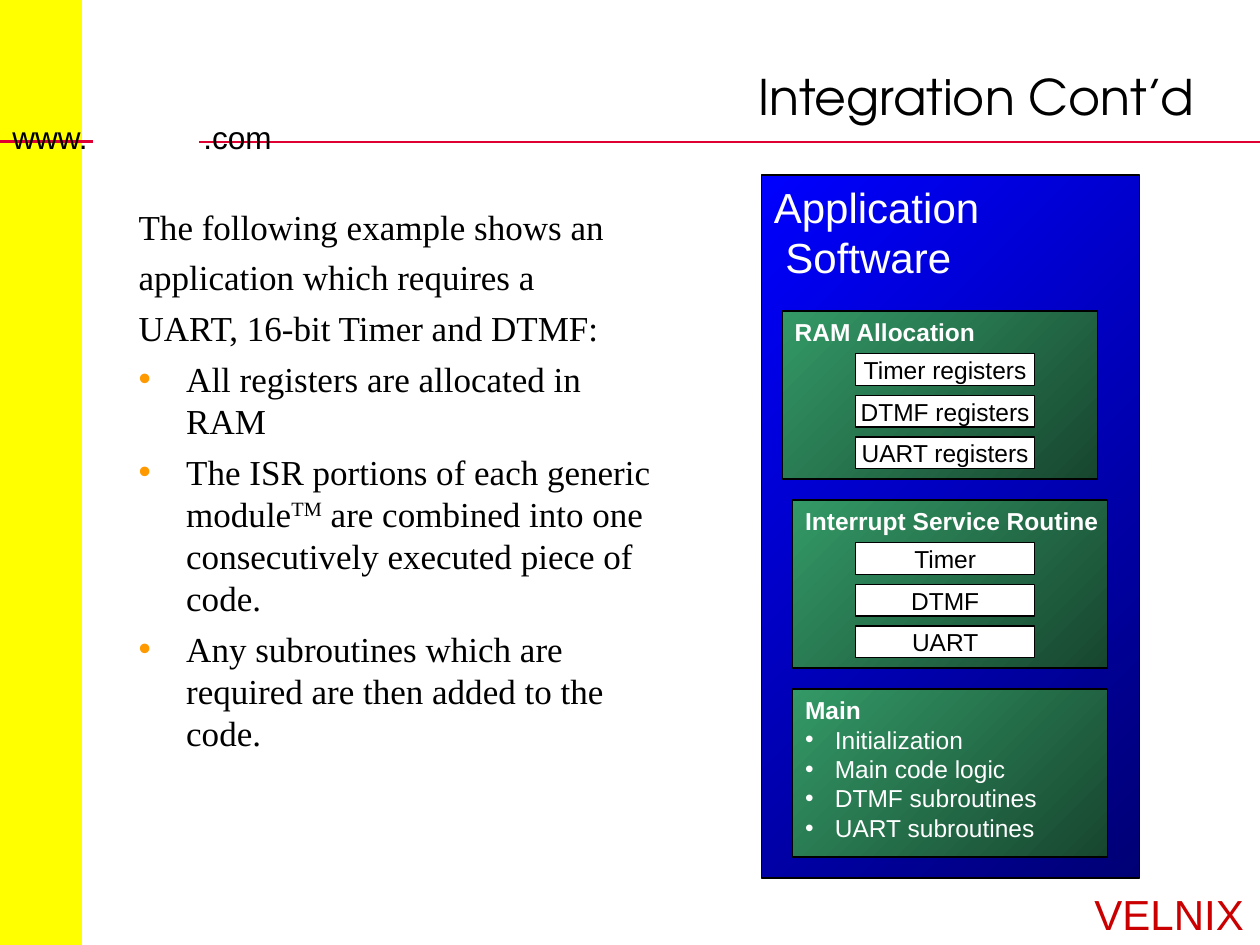
from lxml import etree
from pptx import Presentation
from pptx.dml.color import RGBColor
from pptx.enum.shapes import MSO_CONNECTOR, MSO_SHAPE
from pptx.enum.text import MSO_ANCHOR, MSO_AUTO_SIZE, PP_ALIGN
from pptx.oxml.ns import qn
from pptx.util import Cm, Pt

RECTANGLE, STRAIGHT = MSO_SHAPE.RECTANGLE, MSO_CONNECTOR.STRAIGHT
TOP, MIDDLE = MSO_ANCHOR.TOP, MSO_ANCHOR.MIDDLE
LEFT, CENTER, RIGHT = PP_ALIGN.LEFT, PP_ALIGN.CENTER, PP_ALIGN.RIGHT
NO_FIT = MSO_AUTO_SIZE.NONE

COLORS = {
    "black": "000000", "white": "FFFFFF", "yellow": "FFFF00",
    "rule": "DF0031", "brand": "CA0000", "bullet": "FF9900",
    "navy": "000075", "blue": "0000FF", "pine": "17462F", "green": "339966",
}


def rgb(name):
    return RGBColor.from_string(COLORS[name])


class SlideBuilder:
    sans, serif, display = "Arial", "Times New Roman", "TeX Gyre Adventor"
    outline = Pt(0.74)

    def __init__(self, slide):
        self.slide = slide

    def set_frame(self, shape, wrap, anchor):
        frame = shape.text_frame
        frame.auto_size = NO_FIT
        frame.word_wrap = wrap
        frame.vertical_anchor = anchor
        return frame

    def paragraph(self, frame, runs, size, color, font=None, align=LEFT,
                  bold=False, before=0, spacing=1, indent=0, bullet=None):
        """Fill the first empty paragraph or append one; runs are (text, baseline)."""
        paragraph = frame.paragraphs[-1]
        if paragraph.runs:
            paragraph = frame.add_paragraph()
        paragraph.alignment = align
        paragraph.space_before = Pt(before)
        paragraph.line_spacing = spacing
        properties = paragraph._p.get_or_add_pPr()
        properties.set("marL", str(Cm(indent)))
        properties.set("indent", str(-Cm(indent)))
        if bullet:
            bullet_color = etree.SubElement(properties, qn("a:buClr"))
            etree.SubElement(bullet_color, qn("a:srgbClr"), val=COLORS[bullet])
            etree.SubElement(properties, qn("a:buFont"), typeface=self.sans)
            etree.SubElement(properties, qn("a:buChar"), char="•")
        else:
            etree.SubElement(properties, qn("a:buNone"))
        for text, baseline in runs:
            run = paragraph.add_run()
            run.text = text
            run.font.name = font or self.sans
            run.font.size = Pt(size)
            run.font.bold = bold
            run.font.color.rgb = rgb(color)
            if baseline:
                run._r.get_or_add_rPr().set("baseline", str(baseline * 1000))

    def box(self, left, top, width, height, fill, outlined=True, anchor=TOP):
        """A rectangle; a pair of colours gives a diagonal gradient."""
        shape = self.slide.shapes.add_shape(
            RECTANGLE, Cm(left), Cm(top), Cm(width), Cm(height))
        shape.shadow.inherit = False
        if isinstance(fill, tuple):
            shape.fill.gradient()
            shape.fill.gradient_angle = 135
            for stop, name in zip(shape.fill.gradient_stops, fill):
                stop.color.rgb = rgb(name)
        else:
            shape.fill.solid()
            shape.fill.fore_color.rgb = rgb(fill)
        if outlined:
            shape.line.color.rgb = rgb("black")
            shape.line.width = self.outline
        else:
            shape.line.fill.background()
        return self.set_frame(shape, False, anchor)

    def label(self, left, top, width, height, text, size, color, align=LEFT):
        shape = self.slide.shapes.add_textbox(
            Cm(left), Cm(top), Cm(width), Cm(height))
        frame = self.set_frame(shape, False, TOP)
        self.paragraph(frame, [(text, 0)], size, color, align=align)

    def rule(self, start, end, y):
        line = self.slide.shapes.add_connector(
            STRAIGHT, Cm(start), Cm(y), Cm(end), Cm(y))
        line.line.color.rgb = rgb("rule")
        line.line.width = Pt(1.5)
        etree.SubElement(line._element.spPr, qn("a:effectLst"))

    def placeholder(self, index, left, top, width, height, anchor):
        shape = self.slide.placeholders[index]
        shape.left, shape.top = Cm(left), Cm(top)
        shape.width, shape.height = Cm(width), Cm(height)
        return self.set_frame(shape, True, anchor)


presentation = Presentation()
presentation.slide_width, presentation.slide_height = Cm(25.4), Cm(19.05)
slide = presentation.slides.add_slide(presentation.slide_layouts[1])
builder = SlideBuilder(slide)

# Side stripe, header rule and labels
builder.box(0, 0, 1.65, 19.05, "yellow", outlined=False)
builder.label(21.74, 17.78, 3.66, 1.27, "VELNIX", 24, "brand", CENTER)
builder.rule(4.02, 25.4, 2.86)
builder.rule(0, 1.88, 2.85)
builder.label(3.85, 2.26, 1.88, 1.02, ".com", 18, "black")
builder.label(0, 2.26, 2.06, 1.02, "www.", 18, "black")

# Title
title = builder.placeholder(0, 1.7, 0.84, 22.63, 2.34, MIDDLE)
builder.paragraph(title, [("Integration Cont’d", 0)], 28, "black",
                  builder.display, RIGHT, spacing=0.9)

# Introduction and bullet list
body = builder.placeholder(1, 2.54, 4.01, 11.15, 13.23, TOP)
BODY_TEXT = [
    (None, [("The following example shows an", 0)]),
    (None, [("application which requires a", 0)]),
    (None, [("UART, 16-bit Timer and DTMF:", 0)]),
    ("bullet", [("All registers are allocated in RAM", 0)]),
    ("bullet", [("The ISR portions of each generic module", 0), ("TM", 30),
                (" are combined into one consecutively executed piece of code.", 0)]),
    ("bullet", [("Any subroutines which are required are then added to the code.", 0)]),
]
for bullet, runs in BODY_TEXT:
    builder.paragraph(body, runs, 20, "black", builder.serif,
                      before=5, indent=0.96, bullet=bullet)

# Application software panel
panel = builder.box(15.35, 3.53, 7.62, 14.17, ("navy", "blue"))
for text in ("Application", " Software"):
    builder.paragraph(panel, [(text, 0)], 24, "white")

# Software blocks: left edge, heading, inner boxes, bullets
BLOCKS = [
    (15.77, "RAM Allocation",
     ["Timer registers", "DTMF registers", "UART registers"], []),
    (15.98, "Interrupt Service Routine", ["Timer", "DTMF", "UART"], []),
    (15.98, "Main", [],
     ["Initialization", "Main code logic", "DTMF subroutines", "UART subroutines"]),
]
for row, (left, heading, parts, tasks) in enumerate(BLOCKS):
    top = 6.27 + 3.81 * row
    block = builder.box(left, top, 6.35, 3.39, ("pine", "green"))
    builder.paragraph(block, [(heading, 0)], 14, "white", bold=True)
    for task in tasks:
        builder.paragraph(block, [(task, 0)], 14, "white", indent=0.6, bullet="white")
    for index, part in enumerate(parts):
        frame = builder.box(17.25, top + 0.86 + 0.84 * index, 3.61, 0.64,
                            "white", anchor=MIDDLE)
        builder.paragraph(frame, [(part, 0)], 14, "black", align=CENTER)

presentation.save("out.pptx")
